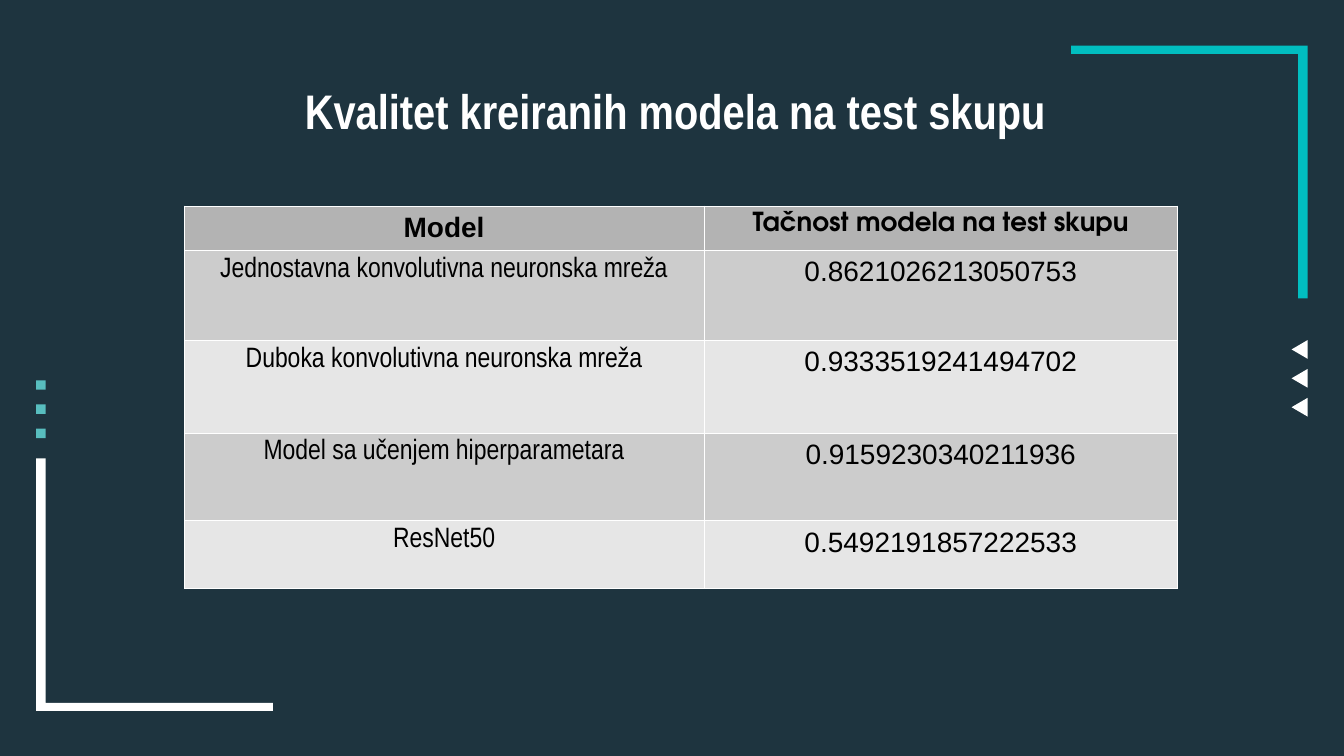
from pptx import Presentation
from pptx.dml.color import RGBColor
from pptx.enum.shapes import MSO_SHAPE as SHAPE
from pptx.enum.text import MSO_ANCHOR as ANCHOR, PP_ALIGN as ALIGN
from pptx.oxml import parse_xml
from pptx.oxml.ns import nsdecls
from pptx.util import Inches, Pt

WIDTH = 10
HEIGHT = WIDTH * 9 / 16
NAVY = RGBColor(0x1E, 0x34, 0x3F)
WHITE = RGBColor(0xFF, 0xFF, 0xFF)
BLACK = RGBColor(0, 0, 0)
TURQUOISE = RGBColor(0x01, 0xBE, 0xC0)
TEAL = RGBColor(0x58, 0xBE, 0xBF)
HEADER_GREY = RGBColor(0xB3, 0xB3, 0xB3)
BAND_GREYS = RGBColor(0xCC, 0xCC, 0xCC), RGBColor(0xE6, 0xE6, 0xE6)

COLUMNS = [3.87, 3.52]
ROW_HEIGHTS = [0.33, 0.67, 0.69, 0.65, 0.51]
ROWS = [
    ("Model", "Tačnost modela na test skupu"),
    ("Jednostavna konvolutivna neuronska mreža", "0.8621026213050753"),
    ("Duboka konvolutivna neuronska mreža", "0.9333519241494702"),
    ("Model sa učenjem hiperparametara", "0.9159230340211936"),
    ("ResNet50", "0.5492191857222533"),
]
# Font and size by column
HEADER_STYLES = [("Arial", 15), ("TeX Gyre Adventor", 14)]
BODY_STYLES = [("Arial Narrow", 15), ("Arial", 15)]


def paint(sp, color):
    sp.shadow.inherit = False
    sp.fill.solid()
    sp.fill.fore_color.rgb = color
    sp.line.fill.background()


def write(tf, text, font, size, color, bold):
    tf.text = text
    p = tf.paragraphs[0]
    p.alignment = ALIGN.CENTER
    f = p.runs[0].font
    f.name, f.size, f.bold = font, Pt(size), bold
    f.color.rgb = color


def add_column(slide, kind, left, top, width, height, step, color, rotation=0):
    """Three equal marks, one below the other."""
    for i in range(3):
        sp = slide.shapes.add_shape(kind, Inches(left), Inches(top + i * step),
                                    Inches(width), Inches(height))
        sp.rotation = rotation
        paint(sp, color)


def add_bracket(slide, corner, direction, color):
    """L-shaped outline whose arms run from the corner along direction."""
    (x, y), (dx, dy) = corner, direction
    arm_x, arm_y, thick_x, thick_y = 1.76, 1.88, 0.07, 0.06
    offsets = [(0, 0), (arm_x, 0), (arm_x, thick_y), (thick_x, thick_y),
               (thick_x, arm_y), (0, arm_y)]
    points = [(Inches(x + dx * a), Inches(y + dy * b)) for a, b in offsets]
    builder = slide.shapes.build_freeform(*points[0])
    builder.add_line_segments(points[1:], close=True)
    paint(builder.convert_to_shape(), color)


def set_borders(cell):
    tc_pr = cell._tc.get_or_add_tcPr()
    for i, side in enumerate(("lnL", "lnR", "lnT", "lnB")):
        tc_pr.insert(i, parse_xml(
            f'<a:{side} {nsdecls("a")} w="{Pt(0.06)}"><a:solidFill>'
            f'<a:srgbClr val="{WHITE}"/></a:solidFill></a:{side}>'))


def add_results(slide):
    frame = slide.shapes.add_table(len(ROWS), len(COLUMNS), Inches(1.37), Inches(1.53),
                                   Inches(sum(COLUMNS)), Inches(sum(ROW_HEIGHTS)))
    table = frame.table
    for column, width in zip(table.columns, COLUMNS):
        column.width = Inches(width)
    for r, (row, height) in enumerate(zip(table.rows, ROW_HEIGHTS)):
        row.height = Inches(height)
        header = r == 0
        styles = HEADER_STYLES if header else BODY_STYLES
        for cell, text, (font, size) in zip(row.cells, ROWS[r], styles):
            cell.fill.solid()
            cell.fill.fore_color.rgb = HEADER_GREY if header else BAND_GREYS[(r - 1) % 2]
            cell.margin_top = Inches(0.05)
            cell.margin_bottom = Inches(0.03 if header else 0.05)
            write(cell.text_frame, text, font, size, BLACK, header)
            set_borders(cell)


def set_title(slide, text):
    title = slide.shapes.title
    title.left, title.top = Inches(0.81), Inches(0.5)
    title.width, title.height = Inches(8.44), Inches(0.68)
    tf = title.text_frame
    tf.word_wrap = True
    tf.vertical_anchor = ANCHOR.TOP
    tf.margin_left = tf.margin_right = tf.margin_top = tf.margin_bottom = Inches(0.1)
    write(tf, text, "Arial Narrow", 26, WHITE, True)


def main():
    prs = Presentation()
    prs.slide_width, prs.slide_height = Inches(WIDTH), Inches(HEIGHT)
    slide = prs.slides.add_slide(prs.slide_layouts[5])
    slide.background.fill.solid()
    slide.background.fill.fore_color.rgb = NAVY

    # Side marks and corner brackets
    add_column(slide, SHAPE.ISOSCELES_TRIANGLE, 9.6, 2.54, 0.14, 0.12, 0.215, WHITE, 270)
    add_column(slide, SHAPE.RECTANGLE, 0.27, 2.83, 0.07, 0.07, 0.18, TEAL)
    add_bracket(slide, (9.73, 0.34), (-1, 1), TURQUOISE)
    add_bracket(slide, (0.27, 5.29), (1, -1), WHITE)

    # Content
    set_title(slide, "Kvalitet kreiranih modela na test skupu")
    add_results(slide)
    prs.save("out.pptx")


if __name__ == "__main__":
    main()
